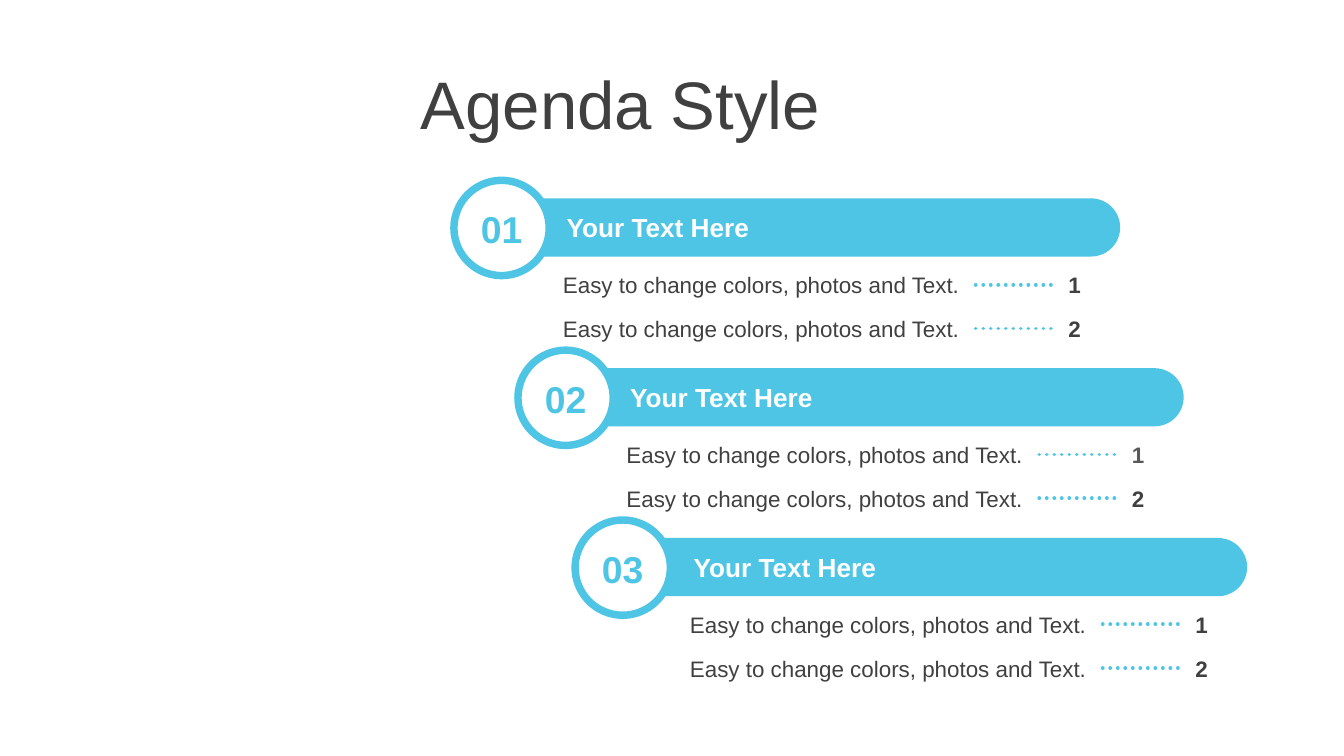
import pptx
import pptx.dml.color
import pptx.enum.dml
import pptx.enum.shapes
import pptx.enum.text
import pptx.oxml
import pptx.oxml.ns
import pptx.util
from dataclasses import dataclass

Cm, Pt = pptx.util.Cm, pptx.util.Pt
Shape = pptx.enum.shapes.MSO_SHAPE
Anchor = pptx.enum.text.MSO_ANCHOR
Align = pptx.enum.text.PP_ALIGN


@dataclass(frozen=True)
class Theme:
    font: str = "Arial"
    blue: str = "4FC5E5"
    white: str = "FFFFFF"
    dark: str = "404040"
    gray: str = "595959"
    title: int = 36
    label: int = 20
    head: int = 14
    body: int = 12


THEME = Theme()
STEP_X, STEP_Y = 1.2, 3.21  # shift from one section to the next
ROW = 0.83

# Label, left edge of the disc, color of each row's page number
PARTS = [
    ("01", 8.58, (THEME.dark, THEME.dark)),
    ("02", 9.79, (THEME.gray, THEME.dark)),
    ("03", 10.87, (THEME.dark, THEME.dark)),
]


def rgb(code):
    return pptx.dml.color.RGBColor.from_string(code)


def write(slide, text, box, size, color=THEME.dark, bold=False, align=Align.LEFT,
          anchor=Anchor.TOP, wrap=True, grow=True, pad=0.13):
    item = slide.shapes.add_textbox(*map(Cm, box))
    frame = item.text_frame
    frame.word_wrap = wrap
    frame.vertical_anchor = anchor
    frame.margin_top = frame.margin_bottom = Cm(pad)
    if grow:
        frame.auto_size = pptx.enum.text.MSO_AUTO_SIZE.SHAPE_TO_FIT_TEXT
    line = frame.paragraphs[0]
    line.alignment = align
    run = line.add_run()
    run.text = text
    run.font.name = THEME.font
    run.font.size = Pt(size)
    run.font.bold = bold
    run.font.color.rgb = rgb(color)
    return item


def draw(slide, kind, box, fill, edge=None):
    item = slide.shapes.add_shape(kind, *map(Cm, box))
    item.shadow.inherit = False
    item.fill.solid()
    item.fill.fore_color.rgb = rgb(fill)
    if edge:
        item.line.color.rgb = rgb(edge)
        item.line.width = Pt(4)
    else:
        item.line.fill.background()
    return item


def dots(slide, left, y, page):
    """Dotted leader that ends at the left side of the page number."""
    item = slide.shapes.add_connector(
        pptx.enum.shapes.MSO_CONNECTOR.STRAIGHT,
        Cm(left), Cm(y), page.left, Cm(y))
    item.end_connect(page, 1)
    item.line.color.rgb = rgb(THEME.blue)
    item.line.width = Pt(2)
    item.line.dash_style = pptx.enum.dml.MSO_LINE.ROUND_DOT
    props = item._element.spPr
    props.find(pptx.oxml.ns.qn("a:ln")).set("cap", "rnd")
    props.append(pptx.oxml.parse_xml(
        "<a:effectLst %s/>" % pptx.oxml.ns.nsdecls("a")))


def entry(slide, x, y, number, color):
    write(slide, "Easy to change colors, photos and Text.",
          (x + 10.39, y, 8.1, 0.76), THEME.body)
    page = write(slide, f"{number} ", (x + 19.94, y, 0.86, 0.76), THEME.body,
                 color=color, bold=True, align=Align.CENTER,
                 anchor=Anchor.MIDDLE, wrap=False)
    dots(slide, x + 18.44, y + 0.38, page)


def section(slide, index, label, left, tones):
    x, y = index * STEP_X, index * STEP_Y

    # Bar, turned so that its round end points right
    bar = draw(slide, Shape.ROUND_2_SAME_RECTANGLE,
               (x + 14.92, y - 1.4, 1.1, 11.4), THEME.blue)
    bar.adjustments[0], bar.adjustments[1] = 0.5, 0
    bar.rotation = 90

    # Numbered disc
    draw(slide, Shape.OVAL, (left, y + 3.41, 1.8, 1.8), THEME.white, THEME.blue)
    write(slide, label, (left + 0.1, y + 3.89, 1.6, 0.86), THEME.label,
          color=THEME.blue, bold=True, align=Align.CENTER,
          anchor=Anchor.MIDDLE, pad=0)

    # Heading and rows
    write(slide, "Your Text Here", (x + 10.46, y + 3.87, 6.6, 0.86),
          THEME.head, color=THEME.white, bold=True)
    for row, tone in enumerate(tones):
        entry(slide, x, y + 5 + row * ROW, row + 1, tone)


def main():
    deck = pptx.Presentation()
    deck.slide_width, deck.slide_height = Cm(25.4), Cm(14.29)
    slide = deck.slides.add_slide(deck.slide_layouts[6])
    write(slide, "Agenda Style", (7.7, 1.14, 17.7, 1.6), THEME.title,
          anchor=Anchor.MIDDLE, grow=False)
    for index, part in enumerate(PARTS):
        section(slide, index, *part)
    deck.save("out.pptx")


if __name__ == "__main__":
    main()
